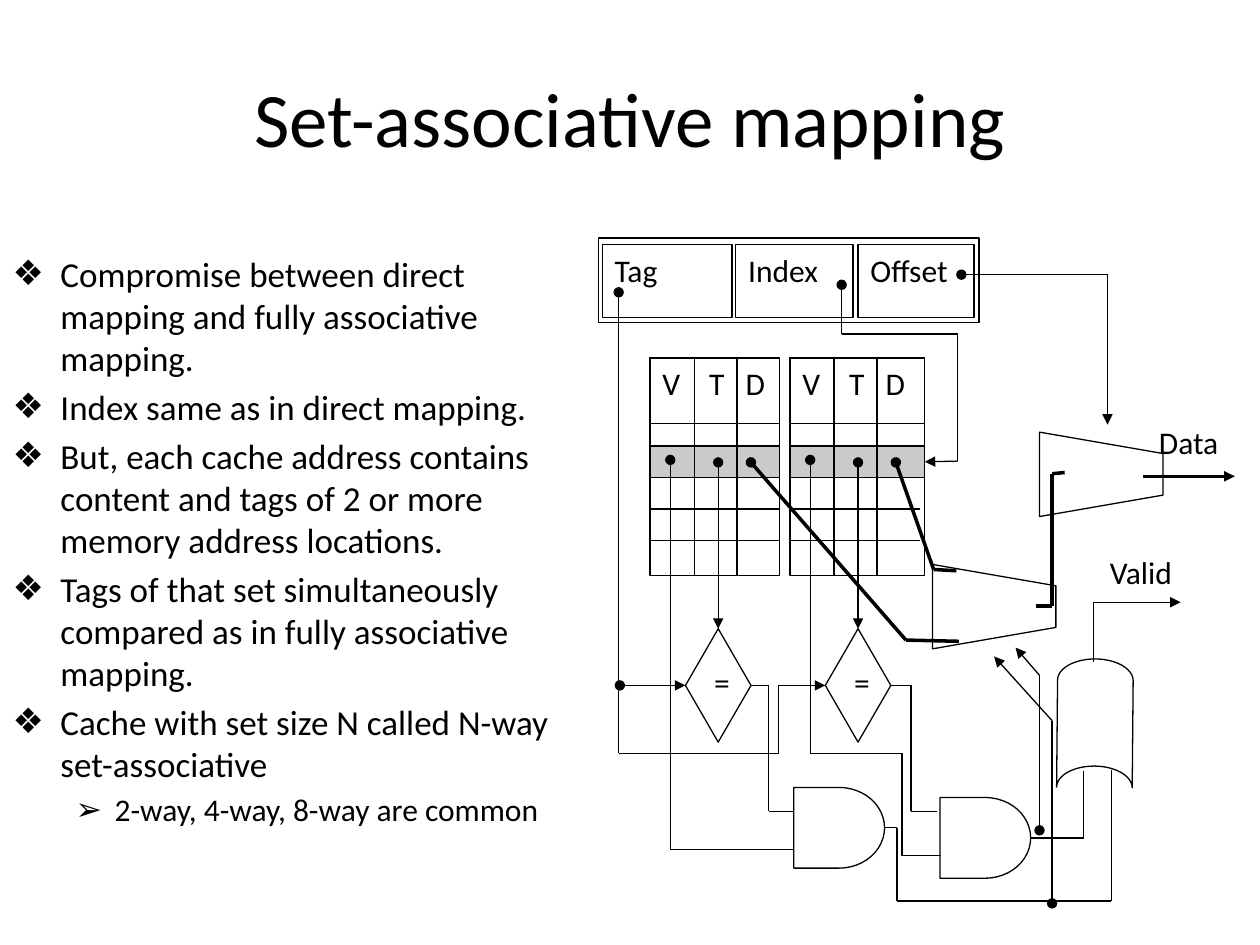
from pptx import Presentation
from pptx.dml.color import RGBColor
from pptx.enum.shapes import MSO_CONNECTOR, MSO_SHAPE as Shape
from pptx.enum.text import MSO_ANCHOR as Anchor, MSO_AUTO_SIZE as AutoSize, PP_ALIGN as Align
from pptx.oxml.ns import qn
from pptx.util import Inches, Pt
from lxml.etree import SubElement

THEME = {
    "font": "Calibri", "ink": RGBColor(0, 0, 0), "paper": RGBColor(255, 255, 255),
    "band": RGBColor(0x96, 0x96, 0x96), "band_alpha": "50000",
    "title": 44, "body": 20, "small": 18, "thin": 0.75, "thick": 2,
}

# ---- Content ----
TITLE = "Set-associative mapping"
BULLETS = [
    (0, "Compromise between direct mapping and fully associative mapping."),
    (0, "Index same as in direct mapping."),
    (0, "But, each cache address contains content and tags of 2 or more memory address locations."),
    (0, "Tags of that set simultaneously compared as in fully associative mapping."),
    (0, "Cache with set size N called N-way set-associative"),
    (1, "2-way, 4-way, 8-way are common"),
]
# level: bullet, left margin, hanging indent, size
LEVELS = {0: ("❖", 0.38, -0.38, "body"), 1: ("➢", 0.81, -0.31, "small")}

ADDRESS_FIELDS = [("Tag", 4.78, 1.03), ("Index", 5.84, 0.93), ("Offset", 6.81, 0.92)]
OUTPUTS = [("Data", 9.1, 3.31, 0.9), ("Valid", 8.71, 4.34, 1.03)]
WAYS = [(5.16, 1.03), (6.27, 1.07)]       # left, width
COLUMNS = "V\tT\tD"
COLUMN_TABS = (0.37, 0.66)
COLUMN_LINES = (0.35, 0.69)
WAY_TOP, WAY_HEIGHT, HEADER_HEIGHT = 2.84, 1.73, 0.52
ROW_TOP, ROW_STEP, ROW_LINES, ROW_WIDTH = 3.54, 0.25, 4, 1.03
COMPARATORS = [5.44, 6.55]
GATES = [(6.3, 6.25), (7.46, 6.33)]
MULTIPLEXERS = [(8.25, 3.43), (7.4, 4.48)]
MUX_WIDTH, MUX_HEIGHT, MUX_TAPER = 0.98, 0.67, 0.17

# points, then options: dot at start, arrow at end, thick, joined shapes
WIRES = [
    ([(4.91, 2.32), (4.91, 5.98), (6.18, 5.98), (6.18, 5.44), (6.55, 5.44)],
     {"dot": True, "arrow": True, "end": ("compare1", 1)}),
    ([(4.92, 5.44), (5.44, 5.44)], {"dot": True, "arrow": True, "end": ("compare0", 1)}),
    ([(6.68, 2.26), (6.68, 2.65), (7.6, 2.65), (7.6, 3.66), (7.33, 3.66)],
     {"dot": True, "arrow": True, "end": ("band1", 3)}),
    ([(7.63, 2.18), (8.79, 2.18), (8.79, 3.37)], {"dot": True, "arrow": True}),
    ([(5.32, 3.65), (5.32, 6.74), (6.29, 6.74)], {"dot": True}),
    ([(6.43, 3.65), (6.43, 5.98), (7.16, 5.98), (7.16, 6.79), (7.47, 6.79)], {"dot": True}),
    ([(5.7, 3.67), (5.7, 4.99)], {"dot": True, "arrow": True, "end": ("compare0", 0)}),
    ([(6.81, 3.67), (6.81, 4.99)], {"dot": True, "arrow": True, "end": ("compare1", 0)}),
    ([(5.96, 5.44), (6.1, 5.44), (6.1, 6.44), (6.3, 6.44)], {"begin": ("compare0", 3)}),
    ([(7.07, 5.44), (7.23, 5.44), (7.23, 6.44), (7.44, 6.44)], {"begin": ("compare1", 3)}),
    ([(8.18, 6.65), (8.6, 6.65), (8.6, 6.12)], {"begin": ("gate1", 3)}),
    ([(7.02, 6.57), (7.12, 6.57), (7.12, 7.15), (8.82, 7.15), (8.82, 6.11)],
     {"begin": ("gate0", 3)}),
    ([(8.68, 5.25), (8.68, 4.78), (9.37, 4.78)], {"arrow": True}),
    ([(8.25, 6.59), (8.25, 5.36), (8.06, 5.14)], {"dot": True, "arrow": True}),
    ([(8.35, 7.17), (8.35, 5.72), (7.89, 5.21)], {"dot": True, "arrow": True}),
    ([(9.07, 3.78), (9.8, 3.78)], {"arrow": True, "thick": True}),
    ([(8.22, 4.81), (8.35, 4.81), (8.35, 3.76), (8.45, 3.75)], {"thick": True}),
    ([(5.96, 3.67), (7.19, 5.08), (7.61, 5.09)], {"dot": True, "thick": True}),
    ([(7.11, 3.67), (7.41, 4.52), (7.59, 4.53)], {"dot": True, "thick": True}),
]

presentation = Presentation()
presentation.slide_width, presentation.slide_height = Inches(10), Inches(7.5)
slide = presentation.slides.add_slide(presentation.slide_layouts[1])
parts = {}


def set_all(target, values):
    for name, value in values.items():
        setattr(target, name, value)


def write(paragraph, text, size):
    run = paragraph.add_run()
    run.text = text
    set_all(run.font, {"name": THEME["font"], "size": Pt(THEME[size])})
    run.font.color.rgb = THEME["ink"]


def paint(shape, line=True):
    shape.shadow.inherit = False
    shape.fill.solid()
    shape.fill.fore_color.rgb = THEME["paper"]
    if line:
        shape.line.color.rgb = THEME["ink"]
        shape.line.width = Pt(THEME["thin"])
    else:
        shape.line.fill.background()
    return shape


def box(left, top, width, height, text="", kind=Shape.RECTANGLE, line=True):
    shape = paint(slide.shapes.add_shape(kind, *map(Inches, (left, top, width, height))), line)
    if text:
        set_all(shape.text_frame, {"word_wrap": True, "vertical_anchor": Anchor.TOP})
        paragraph = shape.text_frame.paragraphs[0]
        paragraph.alignment = Align.LEFT
        write(paragraph, text, "small")
    return shape


def segment(start, end, width="thin", dot=False, arrow=False):
    connector = slide.shapes.add_connector(MSO_CONNECTOR.STRAIGHT, *map(Inches, (*start, *end)))
    connector.line.color.rgb = THEME["ink"]
    connector.line.width = Pt(THEME[width])
    outline = connector.line._get_or_add_ln()
    for wanted, tag, kind in ((dot, "a:headEnd", "oval"), (arrow, "a:tailEnd", "triangle")):
        if wanted:
            SubElement(outline, qn(tag), type=kind)
    SubElement(connector._element.spPr, qn("a:effectLst"))
    return connector


def wire(points, dot=False, arrow=False, thick=False, begin=None, end=None):
    last = len(points) - 2
    for i, (start, stop) in enumerate(zip(points, points[1:])):
        connector = segment(start, stop, "thick" if thick else "thin",
                            dot and i == 0, arrow and i == last)
        if begin and i == 0:
            connector.begin_connect(parts[begin[0]], begin[1])
        if end and i == last:
            connector.end_connect(parts[end[0]], end[1])


# ---- Title and bullet list ----
title, body = slide.placeholders[0], slide.placeholders[1]
for holder, place in ((title, (0.5, 0.3, 9, 1.25)), (body, (0, 1.95, 4.5, 5.55))):
    set_all(holder, dict(zip(("left", "top", "width", "height"), map(Inches, place))))
    set_all(holder.text_frame, {"word_wrap": True, "auto_size": AutoSize.NONE})
title.text_frame.vertical_anchor = Anchor.MIDDLE
title.text_frame.paragraphs[0].alignment = Align.CENTER
write(title.text_frame.paragraphs[0], TITLE, "title")
for i, (level, text) in enumerate(BULLETS):
    paragraph = body.text_frame.add_paragraph() if i else body.text_frame.paragraphs[0]
    paragraph.level = level
    mark, margin, indent, size = LEVELS[level]
    properties = paragraph._p.get_or_add_pPr()
    properties.set("marL", str(Inches(margin)))
    properties.set("indent", str(Inches(indent)))
    SubElement(properties, qn("a:buFont"), typeface="Arial")
    SubElement(properties, qn("a:buChar"), char=mark)
    write(paragraph, text, size)

# ---- Address register ----
box(4.75, 1.89, 3.02, 0.67)
for text, left, width in ADDRESS_FIELDS:
    box(left, 1.94, width, 0.58, text)

# ---- Cache ways ----
for i, (left, width) in enumerate(WAYS):
    box(left, WAY_TOP, width, WAY_HEIGHT)
    header = box(left, WAY_TOP, width, HEADER_HEIGHT, COLUMNS)
    tabs = SubElement(header.text_frame.paragraphs[0]._p.get_or_add_pPr(), qn("a:tabLst"))
    for position in COLUMN_TABS:
        SubElement(tabs, qn("a:tab"), pos=str(Inches(position)), algn="l")
    for row in range(ROW_LINES):
        y = ROW_TOP + row * ROW_STEP
        segment((left, y), (left + ROW_WIDTH, y))
    band = parts[f"band{i}"] = box(left, ROW_TOP, width, ROW_STEP)
    band.fill.fore_color.rgb = THEME["band"]
    color = band._element.spPr.find(qn("a:solidFill")).find(qn("a:srgbClr"))
    SubElement(color, qn("a:alpha"), val=THEME["band_alpha"])
    for offset in COLUMN_LINES:
        segment((left + offset, WAY_TOP), (left + offset, WAY_TOP + WAY_HEIGHT))

# ---- Logic: comparators, gates, multiplexers ----
for text, left, top, width in OUTPUTS:
    box(left, top, width, 0.67, text, line=False)
for i, left in enumerate(COMPARATORS):
    parts[f"compare{i}"] = box(left, 4.99, 0.52, 0.9, "=", Shape.DIAMOND)
for i, (left, top) in enumerate(GATES):
    parts[f"gate{i}"] = box(left, top, 0.72, 0.64, kind=Shape.FLOWCHART_DELAY)
box(8.18, 5.44, 1.02, 0.6, kind=Shape.FLOWCHART_STORED_DATA).rotation = 90.5
for left, top in MULTIPLEXERS:
    right, bottom = left + MUX_WIDTH, top + MUX_HEIGHT
    builder = slide.shapes.build_freeform(Inches(left), Inches(top))
    corners = [(right, top + MUX_TAPER), (right, bottom - MUX_TAPER), (left, bottom)]
    builder.add_line_segments([(Inches(x), Inches(y)) for x, y in corners], close=True)
    paint(builder.convert_to_shape())

# ---- Wires ----
for points, options in WIRES:
    wire(points, **options)

presentation.save("out.pptx")
